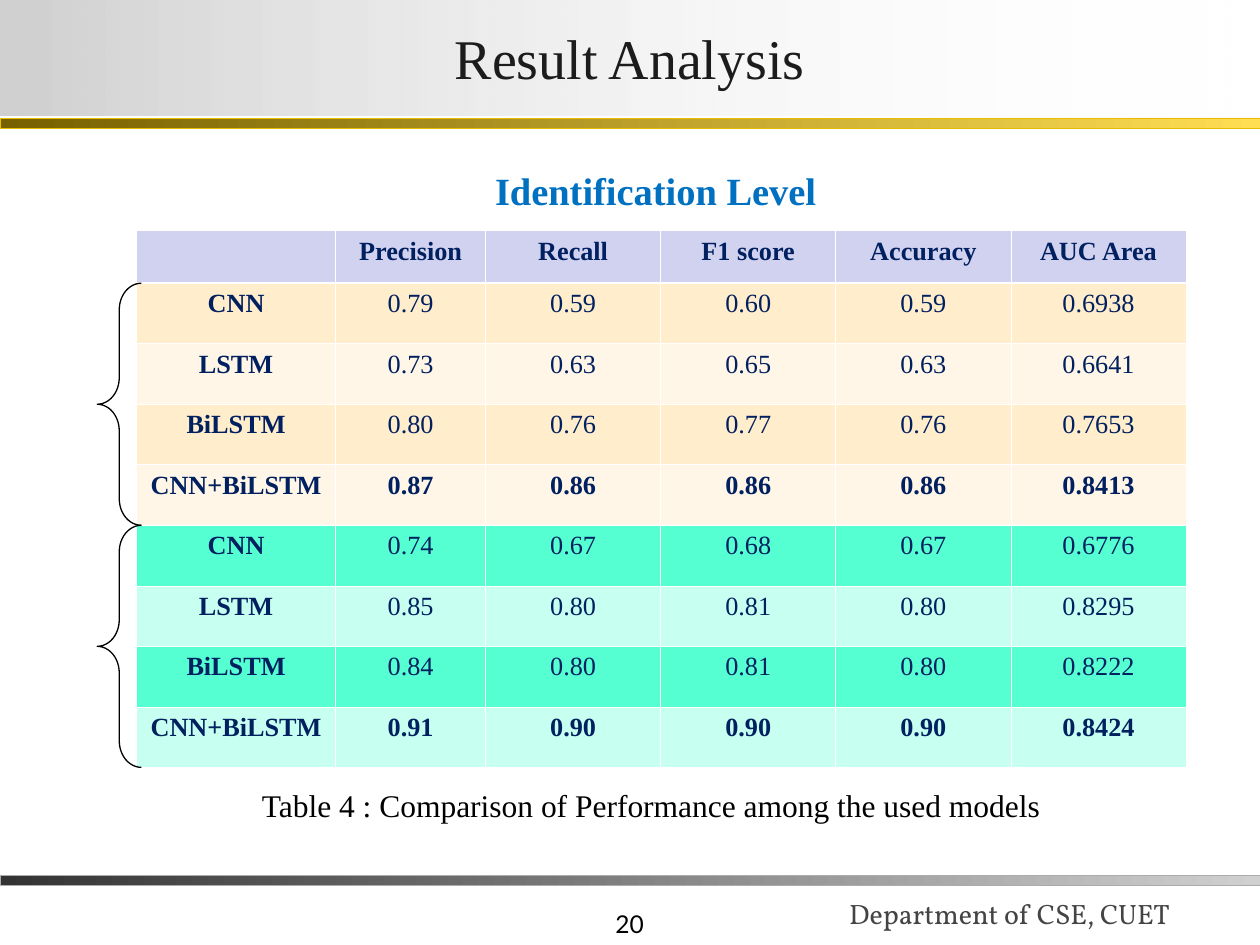
from lxml import etree
from pptx import Presentation
from pptx import util as u
from pptx.dml.color import RGBColor
from pptx.enum import shapes, text
from pptx.oxml.ns import qn

NAVY = RGBColor(0x00, 0x20, 0x60)
BLUE = RGBColor(0x00, 0x70, 0xC0)
BLACK = RGBColor(0x00, 0x00, 0x00)
WHITE = RGBColor(0xFF, 0xFF, 0xFF)
INK = RGBColor(0x1C, 0x1C, 0x1C)
SLATE = RGBColor(0x44, 0x44, 0x44)
COAL = RGBColor(0x33, 0x33, 0x33)
SILVER = RGBColor(0xD0, 0xD0, 0xD0)
GREY = RGBColor(0xAB, 0xAB, 0xAB)
BRONZE = RGBColor(0x76, 0x60, 0x00)
YELLOW = RGBColor(0xFF, 0xDE, 0x53)
GOLD = RGBColor(0xE8, 0xBC, 0x00)
LILAC = RGBColor(0xD1, 0xD1, 0xF0)
SAND = RGBColor(0xFF, 0xED, 0xCB)
CREAM = RGBColor(0xFF, 0xF6, 0xE7)
TEAL = RGBColor(0x56, 0xFF, 0xD2)
MINT = RGBColor(0xC7, 0xFF, 0xF0)
SERIF = "Times New Roman"
ALIGN = text.PP_ALIGN
ANCHOR = text.MSO_ANCHOR


def write(frame, words, size, color, align, font=SERIF, bold=False):
    para = frame.paragraphs[0]
    para.alignment = align
    run = para.add_run()
    run.text = words
    run.font.name = font
    run.font.size = u.Pt(size)
    run.font.bold = bold
    run.font.color.rgb = color


def blend(shape, start, end):
    shape.fill.gradient()
    shape.fill.gradient_angle = 0
    for stop, color in zip(shape.fill.gradient_stops, (start, end)):
        stop.color.rgb = color


deck = Presentation()
deck.slide_width = u.Cm(25.4)
deck.slide_height = u.Cm(19.05)
slide = deck.slides.add_slide(deck.slide_layouts[5])

title = slide.shapes.title
title.left, title.top = u.Cm(0), u.Cm(0)
title.width, title.height = u.Cm(25.4), u.Cm(2.32)
blend(title, SILVER, WHITE)
clear = title.element.spPr.findall(".//" + qn("a:srgbClr"))[-1]
etree.SubElement(clear, qn("a:alpha")).set("val", "0")
frame = title.text_frame
frame.margin_left = frame.margin_right = u.Cm(0.05)
frame.margin_top = frame.margin_bottom = u.Cm(0.03)
frame.vertical_anchor = ANCHOR.MIDDLE
write(frame, "Result Analysis", 32, INK, ALIGN.CENTER)

for top, start, end, edge in (
    (17.65, COAL, SILVER, GREY),
    (2.39, BRONZE, YELLOW, GOLD),
):
    bar = slide.shapes.add_shape(
        shapes.MSO_SHAPE.RECTANGLE, u.Cm(0), u.Cm(top), u.Cm(25.4), u.Cm(0.2)
    )
    bar.shadow.inherit = False
    blend(bar, start, end)
    bar.line.color.rgb = edge
    bar.line.width = u.Pt(0.25)

notes = (
    (7.95, 17.78, 5.28, 1.27, ANCHOR.BOTTOM,
     ("20", 14, BLACK, ALIGN.RIGHT, "Lato")),
    (16.87, 17.27, 8.74, 1.6, ANCHOR.BOTTOM,
     ("Department of CSE, CUET", 16, SLATE, ALIGN.LEFT, "Vollkorn")),
    (5.03, 15.72, 16.61, 1.02, ANCHOR.TOP,
     ("Table 4 : Comparison of Performance among the used models",
      18, BLACK, ALIGN.LEFT)),
    (9.73, 3.25, 10.03, 1.19, ANCHOR.TOP,
     ("Identification Level", 22, BLUE, ALIGN.LEFT, SERIF, True)),
)
for left, top, width, height, anchor, words in notes:
    box = slide.shapes.add_textbox(u.Cm(left), u.Cm(top), u.Cm(width), u.Cm(height))
    box.text_frame.word_wrap = True
    box.text_frame.vertical_anchor = anchor
    write(box.text_frame, *words)

rows = (
    ("", "Precision", "Recall", "F1 score", "Accuracy", "AUC Area"),
    ("CNN", "0.79", "0.59", "0.60", "0.59", "0.6938"),
    ("LSTM", "0.73", "0.63", "0.65", "0.63", "0.6641"),
    ("BiLSTM", "0.80", "0.76", "0.77", "0.76", "0.7653"),
    ("CNN+BiLSTM", "0.87", "0.86", "0.86", "0.86", "0.8413"),
    ("CNN", "0.74", "0.67", "0.68", "0.67", "0.6776"),
    ("LSTM", "0.85", "0.80", "0.81", "0.80", "0.8295"),
    ("BiLSTM", "0.84", "0.80", "0.81", "0.80", "0.8222"),
    ("CNN+BiLSTM", "0.91", "0.90", "0.90", "0.90", "0.8424"),
)
fills = [LILAC] + [SAND, CREAM] * 2 + [TEAL, MINT] * 2
wide = [4.02, 3.02] + [3.53] * 4
top, head, step = 4.65, 1.06, 1.22
table = slide.shapes.add_table(
    len(rows), len(wide), u.Cm(2.75), u.Cm(top),
    u.Cm(sum(wide)), u.Cm(head + 8 * step),
).table
for col, width in zip(table.columns, wide):
    col.width = u.Cm(width)
for r, row in enumerate(rows):
    table.rows[r].height = u.Cm(step if r else head)
    for c, words in enumerate(row):
        cell = table.cell(r, c)
        props = cell._tc.get_or_add_tcPr()
        for side in "LRTB":
            thick = (r, side) in ((0, "B"), (1, "T"))
            edge = etree.SubElement(props, qn("a:ln" + side))
            edge.set("w", str(u.Pt(1.47 if thick else 0.45)))
            paint = etree.SubElement(edge, qn("a:solidFill"))
            etree.SubElement(paint, qn("a:srgbClr")).set("val", str(WHITE))
        cell.fill.solid()
        cell.fill.fore_color.rgb = fills[r]
        if words:
            bold = c == 0 or r % 4 == 0
            write(cell.text_frame, words, 15, NAVY, ALIGN.CENTER, bold=bold)

for group in range(2):
    brace = slide.shapes.add_shape(
        shapes.MSO_SHAPE.LEFT_BRACE, u.Cm(1.96),
        u.Cm(top + head + group * 4 * step), u.Cm(0.89), u.Cm(4 * step),
    )
    brace.shadow.inherit = False
    brace.adjustments[0] = 0.6
    brace.fill.background()
    brace.line.color.rgb = BLACK
    brace.line.width = u.Pt(0.75)

deck.save("out.pptx")
